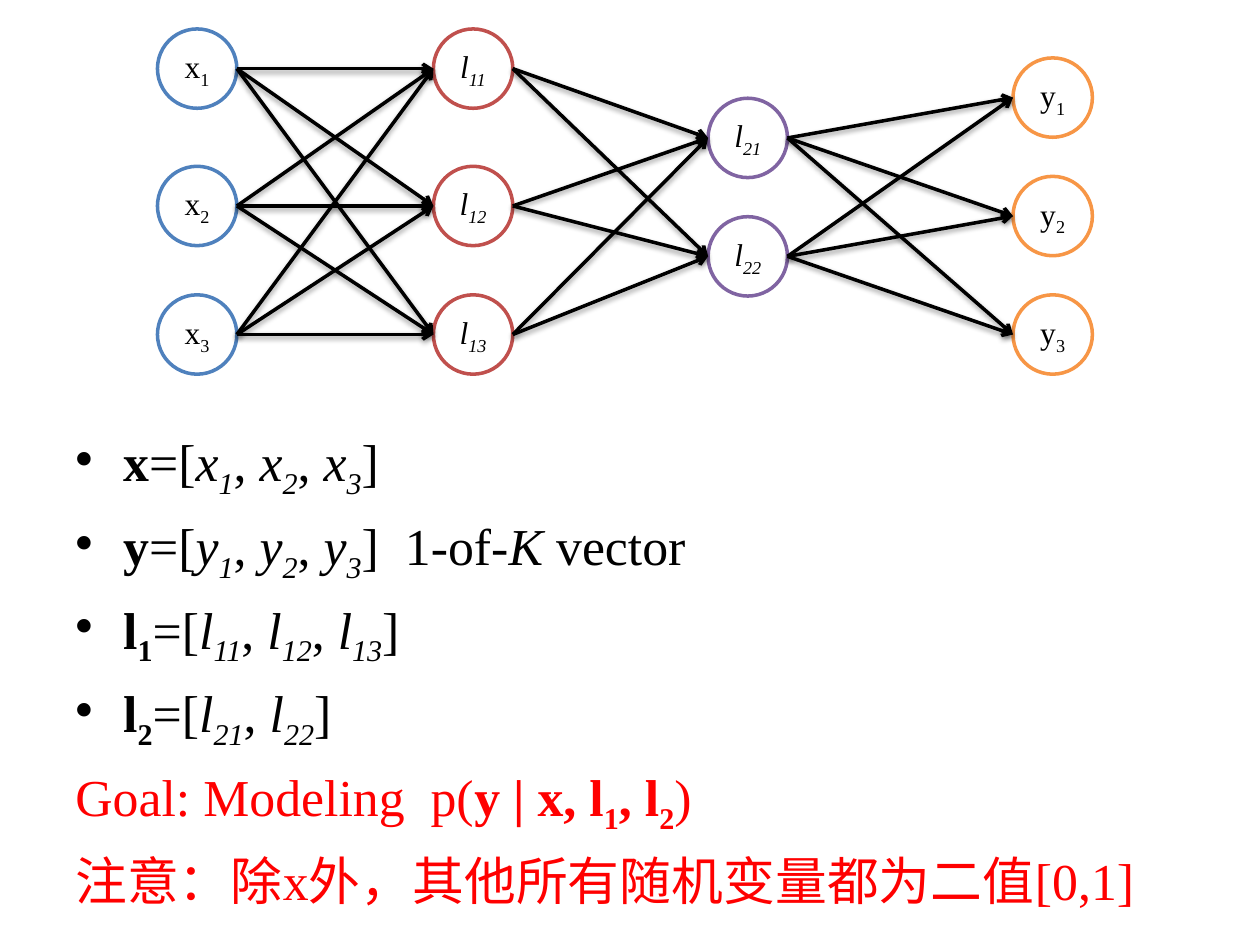
"""Build a slide showing a layered network and the notation for its variables."""
import itertools
from dataclasses import dataclass

import lxml.etree
import pptx
import pptx.dml.color
import pptx.enum.shapes
import pptx.enum.text
import pptx.oxml
import pptx.oxml.ns
import pptx.util
from pptx.util import Inches

FONT = "Times New Roman"
BLACK, WHITE, RED = "000000", "FFFFFF", "FF0000"
DIAMETER = 0.63


@dataclass
class Layer:
    symbol: str
    subscripts: list[str]
    left: float
    tops: list[float]
    color: str
    italic: bool = False


@dataclass
class Piece:
    text: str
    bold: bool = False
    italic: bool = False
    subscript: bool = False


@dataclass
class Statement:
    pieces: list[Piece]
    color: str = BLACK
    bullet: bool = True


def rgb(color: str):
    return pptx.dml.color.RGBColor.from_string(color)


def add_pieces(paragraph, pieces: list[Piece]) -> None:
    for piece in pieces:
        run = paragraph.add_run()
        run.text = piece.text
        if piece.bold:
            run.font.bold = True
        if piece.italic:
            run.font.italic = True
        if piece.subscript:
            run._r.get_or_add_rPr().set("baseline", "-25000")


def style_paragraph(paragraph, size: float, color: str) -> None:
    paragraph.font.name = FONT
    paragraph.font.size = pptx.util.Pt(size)
    paragraph.font.color.rgb = rgb(color)


def add_node(slide, layer: Layer, subscript: str, top: float) -> None:
    shape = slide.shapes.add_shape(
        pptx.enum.shapes.MSO_SHAPE.OVAL,
        Inches(layer.left), Inches(top), Inches(DIAMETER), Inches(DIAMETER))
    shape.shadow.inherit = False
    shape.fill.solid()
    shape.fill.fore_color.rgb = rgb(WHITE)
    shape.line.color.rgb = rgb(layer.color)
    shape.line.width = pptx.util.Pt(2)
    frame = shape.text_frame
    frame.margin_left = frame.margin_right = 0
    frame.vertical_anchor = pptx.enum.text.MSO_ANCHOR.MIDDLE
    paragraph = frame.paragraphs[0]
    paragraph.alignment = pptx.enum.text.PP_ALIGN.CENTER
    style_paragraph(paragraph, 18, BLACK)
    paragraph.font.italic = layer.italic
    add_pieces(paragraph, [Piece(layer.symbol), Piece(subscript, subscript=True)])


def add_arrow(slide, source: Layer, source_top: float, target: Layer, target_top: float) -> None:
    radius = DIAMETER / 2
    connector = slide.shapes.add_connector(
        pptx.enum.shapes.MSO_CONNECTOR.STRAIGHT,
        Inches(source.left + DIAMETER), Inches(source_top + radius),
        Inches(target.left), Inches(target_top + radius))
    connector.line.color.rgb = rgb(BLACK)
    connector.line.width = pptx.util.Pt(2)
    qn = pptx.oxml.ns.qn
    lxml.etree.SubElement(connector.line._get_or_add_ln(), qn("a:tailEnd"), type="arrow")
    effects = lxml.etree.SubElement(connector._element.spPr, qn("a:effectLst"))
    shadow = lxml.etree.SubElement(
        effects, qn("a:outerShdw"), blurRad="40000", dist="20000", dir="5400000", rotWithShape="0")
    shade = lxml.etree.SubElement(shadow, qn("a:srgbClr"), val=BLACK)
    lxml.etree.SubElement(shade, qn("a:alpha"), val="38000")


def vector(name: list[Piece], symbol: str, subscripts: list[str]) -> list[Piece]:
    pieces = [*name, Piece("=[")]
    for index, subscript in enumerate(subscripts):
        if index:
            pieces.append(Piece(", "))
        pieces += [Piece(symbol, italic=True), Piece(subscript, italic=True, subscript=True)]
    return [*pieces, Piece("]")]


def add_statements(slide, statements: list[Statement]) -> None:
    box = slide.shapes.add_textbox(Inches(0.5), Inches(3.36), Inches(9), Inches(3.83))
    frame = box.text_frame
    frame.word_wrap = True
    for index, statement in enumerate(statements):
        paragraph = frame.add_paragraph() if index else frame.paragraphs[0]
        paragraph.space_before = pptx.util.Pt(7.5)
        style_paragraph(paragraph, 29.6, statement.color)
        properties = paragraph._p.get_or_add_pPr()
        properties.set("marL", str(Inches(0.38)))
        properties.set("indent", str(Inches(-0.38)))
        if statement.bullet:
            bullet = pptx.oxml.parse_xml(
                f'<a:buChar {pptx.oxml.ns.nsdecls("a")} char="\u2022"/>')
            properties.insert_element_before(bullet, "a:tabLst", "a:defRPr", "a:extLst")
        add_pieces(paragraph, statement.pieces)


def main() -> None:
    presentation = pptx.Presentation()
    presentation.slide_width, presentation.slide_height = Inches(10), Inches(7.5)
    slide = presentation.slides.add_slide(presentation.slide_layouts[6])
    slide.background.fill.solid()
    slide.background.fill.fore_color.rgb = rgb(WHITE)

    rows = [0.23, 1.32, 2.34]
    digits = ["1", "2", "3"]
    first_hidden, second_hidden = ["11", "12", "13"], ["21", "22"]
    layers = [
        Layer("x", digits, 1.25, rows, "4F81BD"),
        Layer("l", first_hidden, 3.44, rows, "C0504D", italic=True),
        Layer("l", second_hidden, 5.62, [0.78, 1.72], "8064A2", italic=True),
        Layer("y", digits, 8.04, [0.46, 1.4, 2.34], "F79646"),
    ]
    for layer in layers:
        for subscript, top in zip(layer.subscripts, layer.tops):
            add_node(slide, layer, subscript, top)
    for source, target in zip(layers, layers[1:]):
        for source_top, target_top in itertools.product(source.tops, target.tops):
            add_arrow(slide, source, source_top, target, target_top)

    bold_one, bold_two = (Piece(digit, bold=True, subscript=True) for digit in "12")
    bold_l = Piece("l", bold=True)
    add_statements(slide, [
        Statement(vector([Piece("x", bold=True)], "x", digits)),
        Statement(vector([Piece("y", bold=True)], "y", digits)
                  + [Piece("  1-of-"), Piece("K", italic=True), Piece(" vector")]),
        Statement(vector([bold_l, bold_one], "l", first_hidden)),
        Statement(vector([bold_l, bold_two], "l", second_hidden)),
        Statement([Piece("Goal: Modeling  p("), Piece("y | x, l", bold=True), bold_one,
                   Piece(", l", bold=True), bold_two, Piece(")")], RED, bullet=False),
        Statement([Piece("注意：除x外，其他所有随机变量都为二值[0,1]")], RED, bullet=False),
    ])
    presentation.save("out.pptx")


main()
